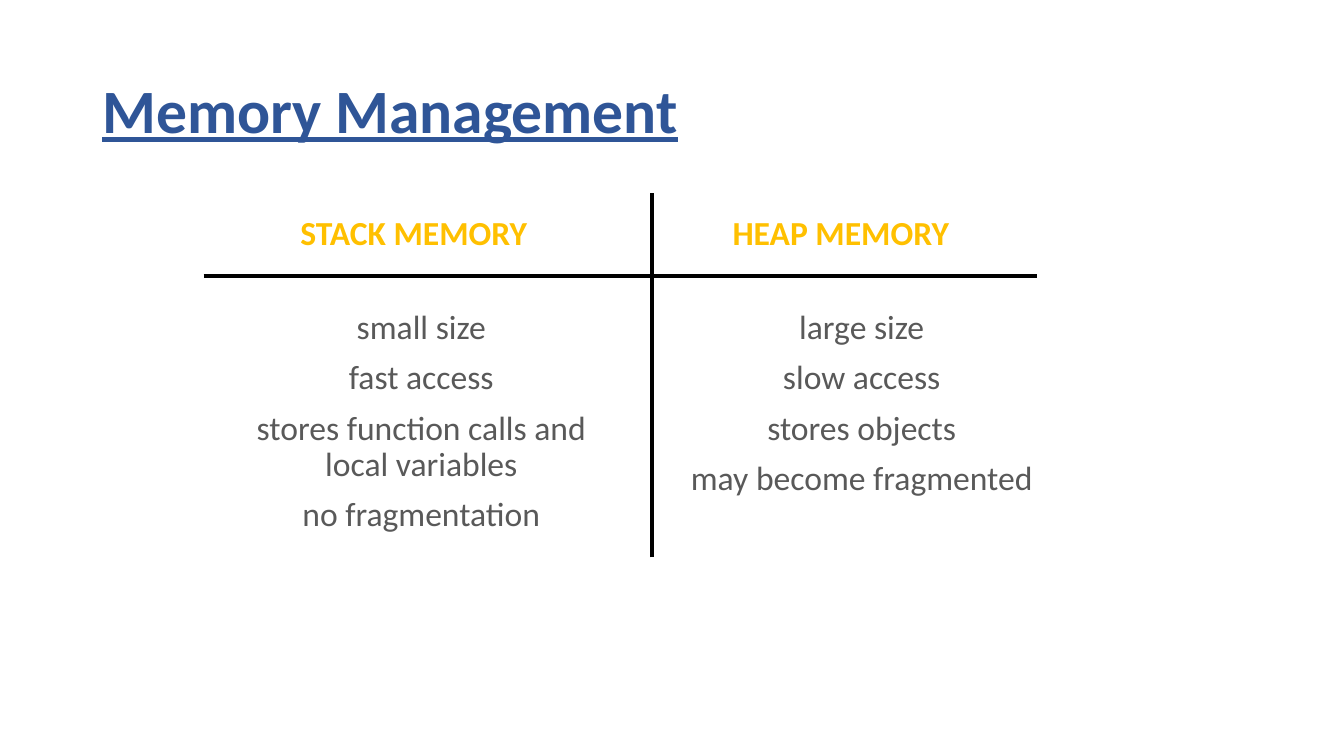
from lxml.etree import SubElement
from pptx import Presentation
from pptx.dml.color import RGBColor
from pptx.enum.shapes import MSO_CONNECTOR
from pptx.enum.text import MSO_ANCHOR, MSO_AUTO_SIZE, PP_ALIGN
from pptx.oxml.ns import qn
from pptx.util import Pt

BLUE = RGBColor(0x2F, 0x55, 0x97)
GOLD = RGBColor(0xFF, 0xC0, 0x00)
GRAY = RGBColor(0x59, 0x59, 0x59)
BLACK = RGBColor(0x00, 0x00, 0x00)

TITLE_FONT = {"size": Pt(44), "bold": True, "underline": True}
HEADING_FONT = {"size": Pt(24), "bold": True}
BODY_FONT = {"size": Pt(24)}
TITLE_FRAME = {"word_wrap": True, "vertical_anchor": MSO_ANCHOR.MIDDLE}
HEADING_FRAME = {"word_wrap": False, "auto_size": MSO_AUTO_SIZE.SHAPE_TO_FIT_TEXT}
BODY_FRAME = {"word_wrap": True}
TITLE_PARA = {"line_spacing": 0.9}
BODY_PARA = {"line_spacing": 0.9, "space_before": Pt(10), "alignment": PP_ALIGN.CENTER}


def apply(target, values):
    for name, value in values.items():
        setattr(target, name, value)


class SlideWriter:
    font_name = "Calibri"
    line_width = Pt(3)

    def __init__(self, page):
        self.page = page

    def text(self, place, lines, color, font, frame, para_format):
        box = self.page.shapes.add_textbox(*map(Pt, place))
        apply(box.text_frame, frame)
        for index, line in enumerate(lines):
            paragraphs = box.text_frame.paragraphs
            para = box.text_frame.add_paragraph() if index else paragraphs[0]
            apply(para, para_format)
            span = para.add_run()
            span.text = line
            apply(span.font, {"name": self.font_name, **font})
            span.font.color.rgb = color

    def title(self, place, words):
        self.text(place, [words], BLUE, TITLE_FONT, TITLE_FRAME, TITLE_PARA)

    def heading(self, place, words):
        self.text(place, [words], GOLD, HEADING_FONT, HEADING_FRAME, {})

    def body(self, place, lines):
        self.text(place, lines, GRAY, BODY_FONT, BODY_FRAME, BODY_PARA)

    def line(self, *ends):
        line = self.page.shapes.add_connector(MSO_CONNECTOR.STRAIGHT, *map(Pt, ends))
        line.line.color.rgb = BLACK
        line.line.width = self.line_width
        SubElement(line._element.spPr, qn("a:effectLst"))


COLUMNS = [
    {
        "heading": "STACK MEMORY",
        "heading_left": 207.4,
        "heading_width": 178.6,
        "body_left": 158.4,
        "traits": [
            "small size",
            "fast access",
            "stores function calls and local variables",
            "no fragmentation",
        ],
    },
    {
        "heading": "HEAP MEMORY",
        "heading_left": 516.2,
        "heading_width": 170.6,
        "body_left": 473,
        "traits": ["large size", "slow access", "stores objects", "may become fragmented"],
    },
]

deck = Presentation()
deck.slide_width, deck.slide_height = Pt(960), Pt(540)
writer = SlideWriter(deck.slides.add_slide(deck.slide_layouts[6]))

writer.title((66, 28.8, 828, 104.4), "Memory Management")
writer.line(145.4, 197.3, 740.9, 197.3)
writer.line(465.8, 398.2, 465.8, 138.2)
for column in COLUMNS:
    heading_place = (column["heading_left"], 147.6, column["heading_width"], 36)
    writer.heading(heading_place, column["heading"])
    writer.body((column["body_left"], 218.2, 285.1, 205.2), column["traits"])

deck.save("out.pptx")
